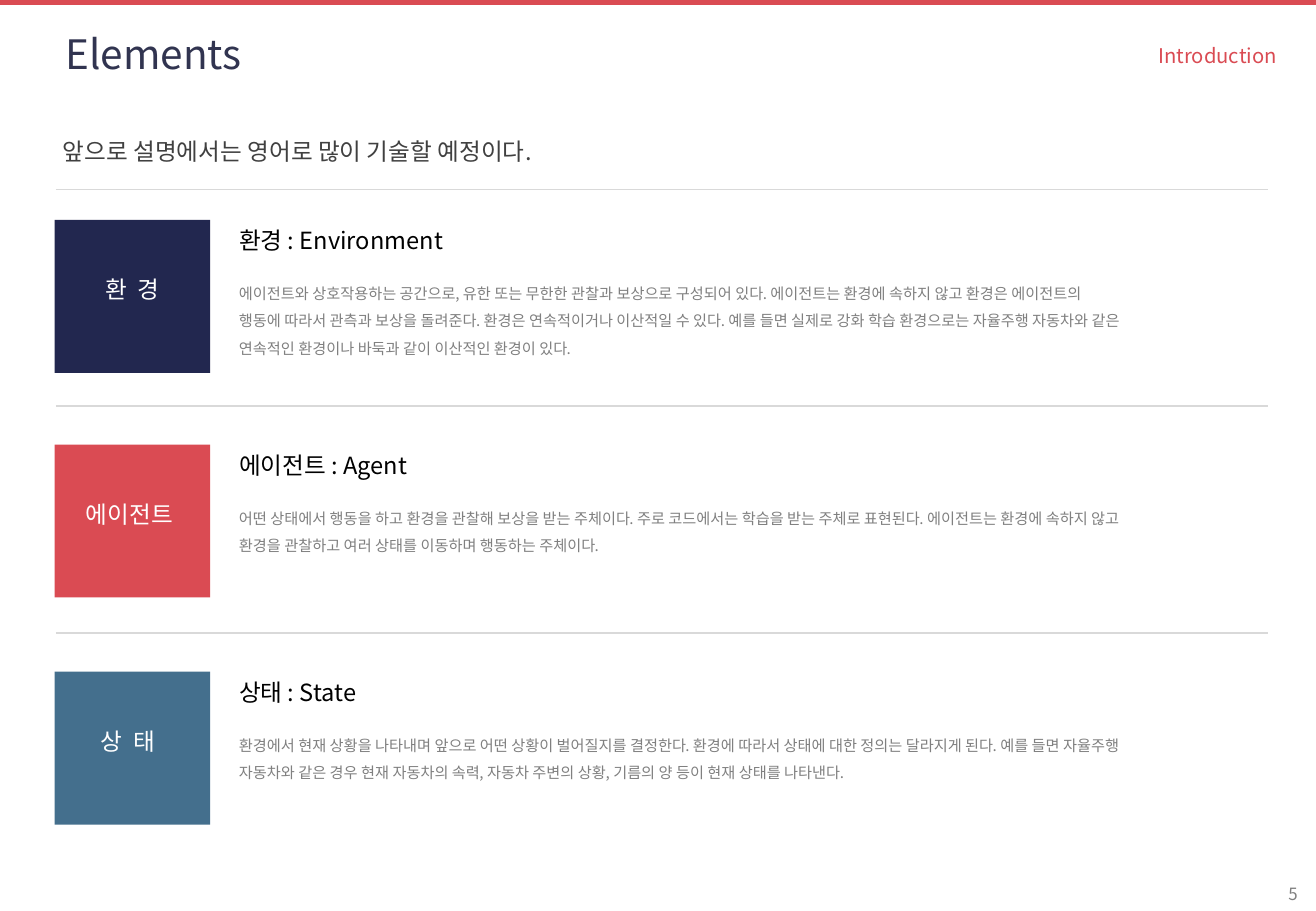
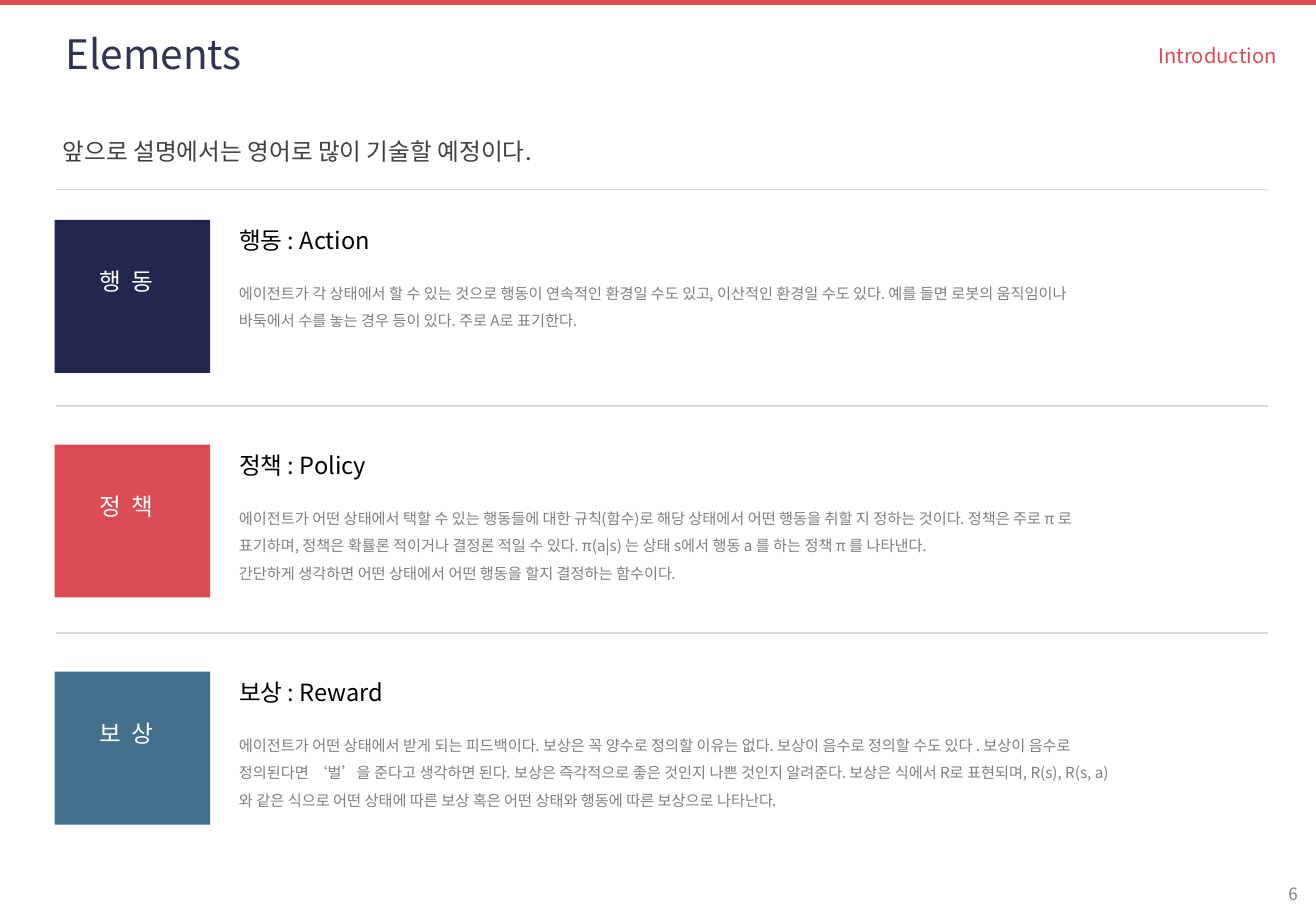
from dataclasses import dataclass

from lxml import etree
from pptx import Presentation
from pptx.dml.color import RGBColor
from pptx.enum import shapes, text
from pptx.oxml import ns
from pptx.util import Pt

FONT = "Noto Sans CJK KR"
NAVY = RGBColor(0x22, 0x27, 0x4F)
RED = RGBColor(0xDA, 0x4B, 0x53)
BLUE = RGBColor(0x44, 0x6F, 0x8D)
TITLE = RGBColor(0x31, 0x34, 0x50)
BLACK = RGBColor(0, 0, 0)
DARK = RGBColor(0x40, 0x40, 0x40)
GREY = RGBColor(0x80, 0x80, 0x80)
RULE = RGBColor(0xD9, 0xD9, 0xD9)
WHITE = RGBColor(0xFF, 0xFF, 0xFF)

ROW_TOPS = (130.3, 263.5, 398.2)
ROW_COLORS = (NAVY, RED, BLUE)
RULE_TOPS = (112.3, 240.5, 375.1)
TEXT_LEFT = 134.6


@dataclass(frozen=True)
class Element:
    label: str
    label_left: float
    heading: str
    body: tuple[str, ...]


@dataclass(frozen=True)
class Page:
    number: int
    label_drop: float  # from the top of a tile to the top of its label
    elements: tuple[Element, ...]


PAGES = (
    Page(5, 29.3, (
        Element("환 경", 55.4, "환경 : Environment", (
            "에이전트와 상호작용하는 공간으로, 유한 또는 무한한 관찰과 보상으로 구성되어 있다. "
            "에이전트는 환경에 속하지 않고 환경은 에이전트의 행동에 따라서 관측과 보상을 돌려준다. "
            "환경은 연속적이거나 이산적일 수 있다. 예를 들면 실제로 강화 학습 환경으로는 "
            "자율주행 자동차와 같은 연속적인 환경이나 바둑과 같이 이산적인 환경이 있다.",)),
        Element("에이전트", 43.9, "에이전트 : Agent", (
            "어떤 상태에서 행동을 하고 환경을 관찰해 보상을 받는 주체이다. "
            "주로 코드에서는 학습을 받는 주체로 표현된다. 에이전트는 환경에 속하지 않고 "
            "환경을 관찰하고 여러 상태를 이동하며 행동하는 주체이다.",)),
        Element("상 태", 52.6, "상태 : State", (
            "환경에서 현재 상황을 나타내며 앞으로 어떤 상황이 벌어질지를 결정한다. "
            "환경에 따라서 상태에 대한 정의는 달라지게 된다. 예를 들면 자율주행 자동차와 같은 경우 "
            "현재 자동차의 속력, 자동차 주변의 상황, 기름의 양 등이 현재 상태를 나타낸다.",)),
    )),
    Page(6, 24.3, (
        Element("행 동", 51.8, "행동 : Action", (
            "에이전트가 각 상태에서 할 수 있는 것으로 행동이 연속적인 환경일 수도 있고, "
            "이산적인 환경일 수도 있다. 예를 들면 로봇의 움직임이나 바둑에서 수를 놓는 경우 등이 있다. "
            "주로 A로 표기한다.",)),
        Element("정 책", 51.8, "정책 : Policy", (
            "에이전트가 어떤 상태에서 택할 수 있는 행동들에 대한 규칙(함수)로 "
            "해당 상태에서 어떤 행동을 취할 지 정하는 것이다. 정책은 주로 π 로 표기하며, "
            "정책은 확률론 적이거나 결정론 적일 수 있다. π(a|s) 는 상태 s에서 행동 a 를 하는 "
            "정책 π 를 나타낸다.",
            "간단하게 생각하면 어떤 상태에서 어떤 행동을 할지 결정하는 함수이다.")),
        Element("보 상", 51.8, "보상 : Reward", (
            "에이전트가 어떤 상태에서 받게 되는 피드백이다. 보상은 꼭 양수로 정의할 이유는 없다. "
            "보상이 음수로 정의할 수도 있다 . 보상이 음수로 정의된다면 ‘벌’을 준다고 생각하면 된다. "
            "보상은 즉각적으로 좋은 것인지 나쁜 것인지 알려준다. 보상은 식에서 R로 표현되며, "
            "R(s), R(s, a) 와 같은 식으로 어떤 상태에 따른 보상 혹은 "
            "어떤 상태와 행동에 따른 보상으로 나타난다.",)),
    )),
)


def add_text(slide, box: tuple, *paragraphs: str, size: float, color: RGBColor,
             align=text.PP_ALIGN.LEFT, anchor=text.MSO_ANCHOR.TOP,
             line_spacing: float = 1.0, tracking: float = 0) -> None:
    tf = slide.shapes.add_textbox(*map(Pt, box)).text_frame
    tf.word_wrap = True
    tf.vertical_anchor = anchor
    for i, content in enumerate(paragraphs):
        p = tf.paragraphs[0] if i == 0 else tf.add_paragraph()
        p.alignment = align
        p.line_spacing = line_spacing
        r = p.add_run()
        r.text = content
        r.font.size = Pt(size)
        r.font.color.rgb = color
        r.font.name = FONT
        props = r.font._element
        etree.SubElement(props, ns.qn("a:ea")).set("typeface", FONT)
        if tracking:
            props.set("spc", str(round(tracking * 100)))


def add_rect(slide, box: tuple, color: RGBColor) -> None:
    sp = slide.shapes.add_shape(shapes.MSO_SHAPE.RECTANGLE, *map(Pt, box))
    sp.shadow.inherit = False
    sp.fill.solid()
    sp.fill.fore_color.rgb = color
    sp.line.fill.background()


def add_rule(slide, top: float) -> None:
    line = slide.shapes.add_connector(
        shapes.MSO_CONNECTOR.STRAIGHT, Pt(33.1), Pt(top), Pt(751.7), Pt(top))
    line.line.color.rgb = RULE
    line.line.width = Pt(1)
    etree.SubElement(line._element.spPr, ns.qn("a:effectLst"))


def add_frame(slide, number: int) -> None:
    middle, right = text.MSO_ANCHOR.MIDDLE, text.PP_ALIGN.RIGHT
    # Top band, title, section name and page number
    add_rect(slide, (0, -0.7, 780.5, 3.6), RED)
    add_text(slide, (31.7, 14.4, 522.7, 34.6), "Elements",
             size=24, color=TITLE, anchor=middle)
    add_text(slide, (558.7, 14.4, 205.2, 34.6), "Introduction", size=12, color=RED,
             align=right, anchor=middle, line_spacing=1.2)
    add_text(slide, (608.4, 521.3, 167.8, 17.3), str(number),
             size=10, color=GREY, align=right, anchor=middle)
    # Lead sentence and rules
    add_text(slide, (30.2, 77.8, 609.1, 23.8), "앞으로 설명에서는 영어로 많이 기술할 예정이다.",
             size=14, color=DARK, anchor=middle)
    for top in RULE_TOPS:
        add_rule(slide, top)


def add_element(slide, item: Element, top: float, color: RGBColor, label_drop: float) -> None:
    add_rect(slide, (32.4, top, 92.2, 90.7), color)
    add_text(slide, (item.label_left, top + label_drop, 81.4, 24.5), item.label,
             size=14, color=WHITE, tracking=1.6 if " " in item.label else 0)
    add_text(slide, (TEXT_LEFT, top, 365.8, 24.5), item.heading, size=14, color=BLACK)
    add_text(slide, (TEXT_LEFT, top + 29.3, 535.7, 54), *item.body,
             size=9, color=GREY, line_spacing=1.5)


def main() -> None:
    prs = Presentation()
    prs.slide_width, prs.slide_height = Pt(780), Pt(540)
    for page in PAGES:
        slide = prs.slides.add_slide(prs.slide_layouts[6])
        add_frame(slide, page.number)
        for item, top, color in zip(page.elements, ROW_TOPS, ROW_COLORS):
            add_element(slide, item, top, color, page.label_drop)
    prs.save("out.pptx")


if __name__ == "__main__":
    main()
